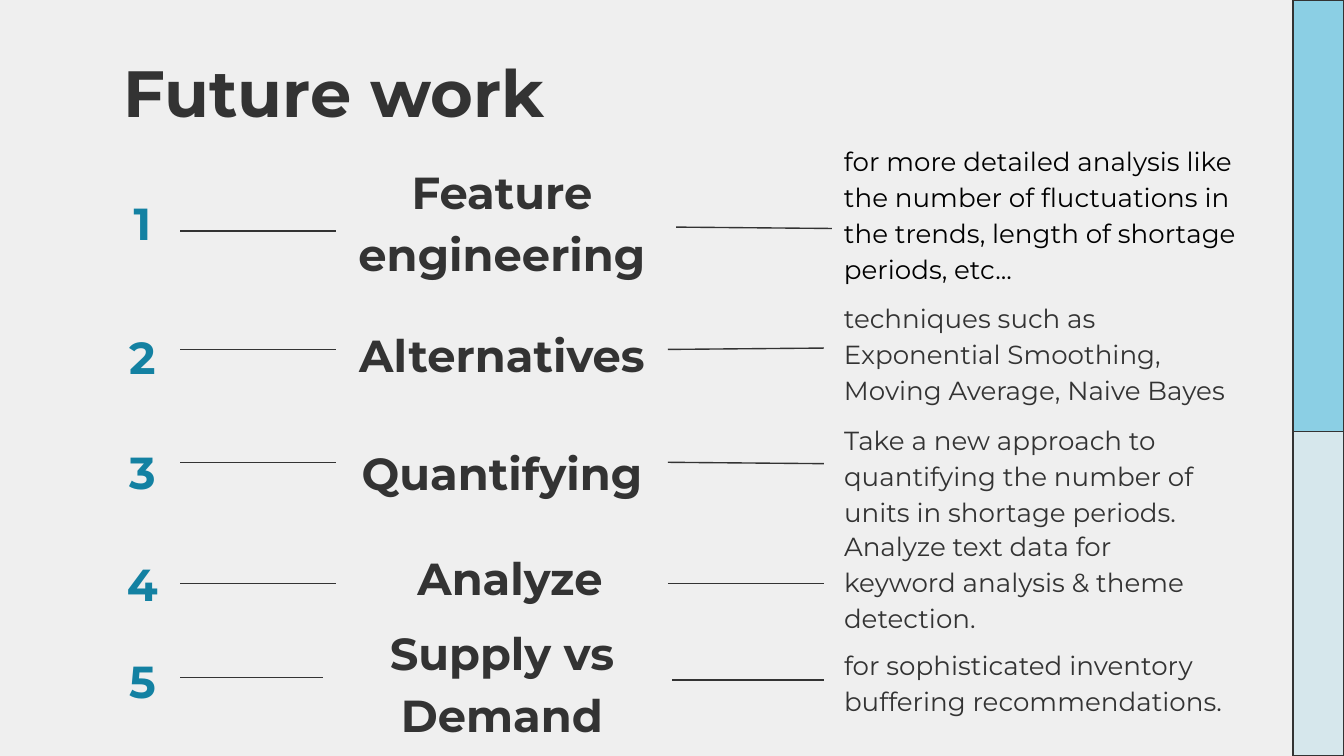
from lxml.etree import SubElement
from pptx import Presentation
from pptx.dml.color import RGBColor
from pptx.enum.shapes import MSO_CONNECTOR as Connector, MSO_SHAPE as Shape
from pptx.enum.text import MSO_ANCHOR as Anchor, MSO_AUTO_SIZE as AutoSize, PP_ALIGN as Align
from pptx.oxml.ns import qn
from pptx.util import Inches, Pt

INK, ACCENT = "333333", "1381A2"


def color(value):
    return RGBColor.from_string(value)


def write(box, text, size, ink=INK, bold=True, align=Align.CENTER, anchor=Anchor.MIDDLE,
          left_inset=0.1, spacing=1.15):
    frame = box.text_frame
    frame.word_wrap = True
    frame.auto_size = AutoSize.NONE
    frame.vertical_anchor = anchor
    frame.margin_left = Inches(left_inset)
    frame.margin_right = frame.margin_top = frame.margin_bottom = Inches(0.1)
    para = frame.paragraphs[0]
    para.alignment = align
    para.line_spacing = spacing
    span = para.add_run()
    span.text = text
    span.font.name = "Montserrat"
    span.font.size = Pt(size)
    span.font.bold = bold
    span.font.color.rgb = color(ink)


deck = Presentation()
deck.slide_width = Inches(10)
deck.slide_height = Inches(10) * 9 // 16
page = deck.slides.add_slide(deck.slide_layouts[5])
page.background.fill.solid()
page.background.fill.fore_color.rgb = color("EFEFEF")

# Side bars
split = Inches(3.21)
for top, bottom, fill in [(0, split, "8BCFE4"), (split, deck.slide_height, "D6E7EC")]:
    bar = page.shapes.add_shape(Shape.RECTANGLE, Inches(9.62), top, Inches(0.38), bottom - top)
    bar.shadow.inherit = False
    bar.fill.solid()
    bar.fill.fore_color.rgb = color(fill)
    bar.line.color.rgb = color(INK)
    bar.line.width = Pt(0.75)

title = page.shapes.title
title.left, title.top, title.width, title.height = Inches(0.82), Inches(0.29), Inches(8.43), Inches(0.63)
write(title, "Future work", 35, align=Align.LEFT, anchor=Anchor.TOP, spacing=1)

# number top, (heading left, top), heading, (detail top, width), detail, detail colour
steps = [
    (1.32, (2.5, 1.32), "Feature engineering", (1.28, 3.27),
     "for more detailed analysis like the number of fluctuations in the trends, "
     "length of shortage periods, etc...", "000000"),
    (2.32, (2.5, 2.3), "Alternatives", (2.31, 3.27),
     "techniques such as Exponential Smoothing, Moving Average, Naive Bayes", INK),
    (3.17, (2.5, 3.18), "Quantifying", (3.22, 3.12),
     "Take a new approach to quantifying the number of units in shortage periods.", INK),
    (4.01, (2.56, 3.96), "Analyze", (4.01, 3.09),
     "Analyze text data for keyword analysis & theme detection.", INK),
    (4.73, (2.5, 4.75), "Supply vs Demand", (4.76, 3.09),
     "for sophisticated inventory buffering recommendations.", INK),
]
for number, (number_top, (heading_left, heading_top), heading,
             (detail_top, detail_width), detail, ink) in enumerate(steps, 1):
    cells = [
        (0.78, number_top, 0.56, str(number), dict(size=24, ink=ACCENT)),
        (heading_left, heading_top, 2.47, heading, dict(size=24)),
        (6.13, detail_top, detail_width, detail,
         dict(size=14, ink=ink, bold=False, align=Align.LEFT, left_inset=0.15)),
    ]
    for left, top, width, text, style in cells:
        box = page.shapes.add_textbox(Inches(left), Inches(top), Inches(width), Inches(0.61))
        write(box, text, **style)

# Lines from number to heading and from heading to detail: x1, y1, x2, y2
links = [
    (1.34, 1.72, 2.5, 1.72), (5.03, 1.69, 6.19, 1.7),
    (1.34, 2.6, 2.5, 2.6), (4.97, 2.6, 6.13, 2.59),
    (1.34, 3.44, 2.5, 3.44), (4.97, 3.44, 6.13, 3.45),
    (1.34, 4.34, 2.5, 4.34), (4.97, 4.34, 6.13, 4.34),
    (1.34, 5.04, 2.4, 5.04), (5, 5.06, 6.13, 5.06),
]
for ends in links:
    link = page.shapes.add_connector(Connector.STRAIGHT, *map(Inches, ends))
    link.line.color.rgb = color(INK)
    link.line.width = Pt(0.75)
    SubElement(link._element.spPr, qn("a:effectLst"))

deck.save("out.pptx")
